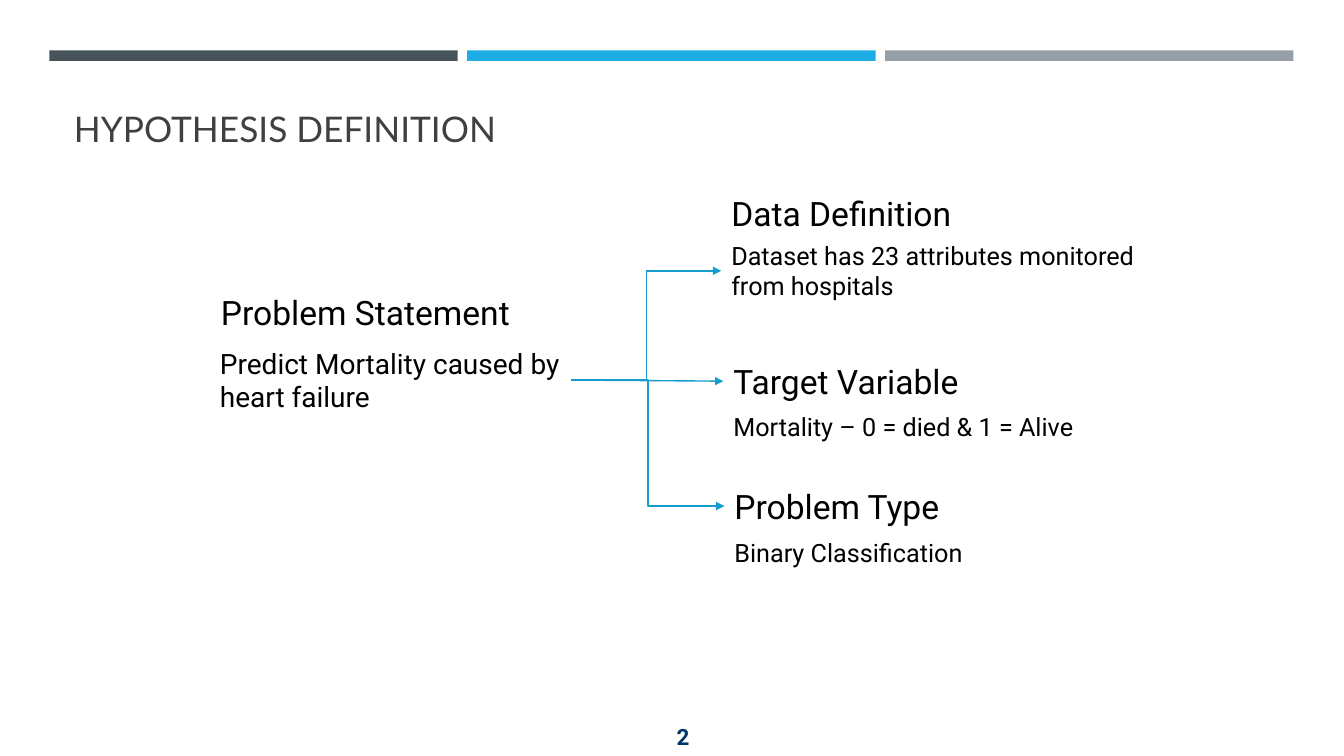
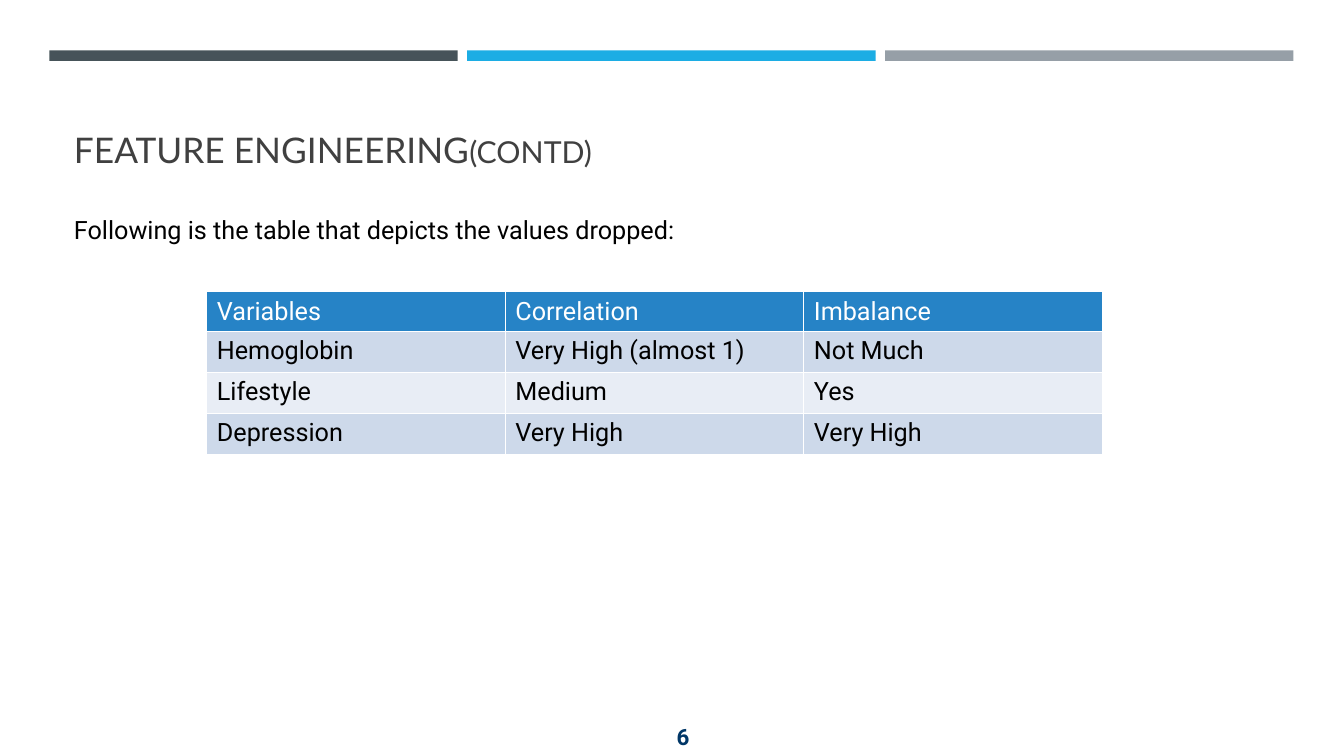
"""Builds the hypothesis and feature engineering slides of a heart failure study."""

from lxml.etree import SubElement
from pptx import Presentation
from pptx.dml.color import RGBColor
from pptx.enum.shapes import MSO_CONNECTOR, MSO_SHAPE
from pptx.enum.text import MSO_ANCHOR, MSO_AUTO_SIZE, PP_ALIGN
from pptx.oxml.ns import qn
from pptx.util import Pt

EMU_PER_PX = 9525
RIGHT_SITE, LEFT_SITE = 3, 1


def px(*lengths):
    return [length * EMU_PER_PX for length in lengths]


def rgb(hex_color):
    return RGBColor.from_string(hex_color)


def write(paragraph, text, *, size=18, color="000000", font="Roboto", bold=False, align=PP_ALIGN.LEFT):
    paragraph.alignment = align
    run = paragraph.add_run()
    run.text = text
    run.font.size = Pt(size)
    run.font.name = font
    run.font.bold = bold
    run.font.color.rgb = rgb(color)


class Deck:
    BANDS = ("465359", "1CADE4", "969FA7")
    TITLE = {"font": "Lato", "color": "404040"}
    PAGE_NUMBER = {"size": 16, "color": "003767", "bold": True, "align": PP_ALIGN.CENTER}
    ARROW = "189CCE"
    TABLE_HEADER = "2683C6"
    TABLE_ROWS = ("CDD9EA", "E8EDF5")
    TABLE_BORDER = "FFFFFF"

    def __init__(self):
        self.presentation = Presentation()
        self.presentation.slide_width, self.presentation.slide_height = px(1280, 720)
        self.slide = None

    def start_slide(self, title, page, *, title_top, title_suffix=""):
        self.slide = self.presentation.slides.add_slide(self.presentation.slide_layouts[6])
        for column, color in enumerate(self.BANDS):
            self.band(47 + 398 * column, color)
        heading = self.box(61, title_top, 1158, 52, title, anchor=MSO_ANCHOR.BOTTOM, size=25.2, **self.TITLE)
        if title_suffix:
            write(heading.text_frame.paragraphs[0], title_suffix, size=21.6, **self.TITLE)
        self.box(501, 682, 299, 38, str(page), anchor=MSO_ANCHOR.MIDDLE, **self.PAGE_NUMBER)

    def band(self, left, color):
        band = self.slide.shapes.add_shape(MSO_SHAPE.RECTANGLE, *px(left, 48, 389, 10))
        band.shadow.inherit = False
        band.fill.solid()
        band.fill.fore_color.rgb = rgb(color)
        band.line.fill.background()

    def box(self, left, top, width, height, text, *, anchor=MSO_ANCHOR.TOP, **text_format):
        box = self.slide.shapes.add_textbox(*px(left, top, width, height))
        frame = box.text_frame
        frame.word_wrap = True
        frame.auto_size = MSO_AUTO_SIZE.NONE
        frame.vertical_anchor = anchor
        for index, line in enumerate(text.split("\n")):
            paragraph = frame.add_paragraph() if index else frame.paragraphs[0]
            write(paragraph, line, **text_format)
        return box

    def arrow(self, source, target, *, route=MSO_CONNECTOR.ELBOW):
        arrow = self.slide.shapes.add_connector(route, 0, 0, 0, 0)
        arrow.begin_connect(source, RIGHT_SITE)
        arrow.end_connect(target, LEFT_SITE)
        arrow.line.color.rgb = rgb(self.ARROW)
        arrow.line.width = Pt(1)
        properties = arrow._element.spPr
        SubElement(properties.find(qn("a:ln")), qn("a:tailEnd"), type="triangle")
        SubElement(properties, qn("a:effectLst"))

    def table(self, left, top, width, rows, *, header_height, row_height):
        height = header_height + row_height * (len(rows) - 1)
        frame = self.slide.shapes.add_table(len(rows), len(rows[0]), *px(left, top, width, height))
        table = frame.table
        table.horz_banding = False
        for index, row in enumerate(rows):
            is_header = index == 0
            table.rows[index].height, = px(header_height if is_header else row_height)
            fill = self.TABLE_HEADER if is_header else self.TABLE_ROWS[(index - 1) % 2]
            for cell, text in zip(table.rows[index].cells, row):
                self.border(cell)
                cell.fill.solid()
                cell.fill.fore_color.rgb = rgb(fill)
                write(cell.text_frame.paragraphs[0], text, color="FFFFFF" if is_header else "000000")

    def border(self, cell):
        properties = cell._tc.get_or_add_tcPr()
        for side in ("a:lnL", "a:lnR", "a:lnT", "a:lnB"):
            edge = SubElement(properties, qn(side), w=str(Pt(1)))
            fill = SubElement(edge, qn("a:solidFill"))
            SubElement(fill, qn("a:srgbClr"), val=self.TABLE_BORDER)


def add_hypothesis(deck):
    deck.start_slide("HYPOTHESIS DEFINITION", 2, title_top=95)
    statement = deck.box(200, 325, 344, 74, "Predict Mortality caused by heart failure", size=20)
    deck.box(201, 273, 320, 48, "Problem Statement", size=24)

    data_heading, target_heading, type_heading = (
        deck.box(left, top, 320, 48, heading, size=24)
        for left, top, heading in (
            (687, 179, "Data Definition"),
            (689, 339, "Target Variable"),
            (690, 458, "Problem Type"),
        )
    )
    data_detail = deck.box(687, 224, 416, 68, "Dataset has 23 attributes monitored\nfrom hospitals")
    deck.box(689, 387, 416, 39, "Mortality – 0 = died & 1 = Alive")
    deck.box(690, 507, 416, 39, "Binary Classification")

    deck.arrow(statement, data_detail)
    deck.arrow(statement, target_heading, route=MSO_CONNECTOR.STRAIGHT)
    deck.arrow(statement, type_heading)


def add_dropped_variables(deck):
    deck.start_slide("FEATURE ENGINEERING", 6, title_top=115, title_suffix="(CONTD)")
    deck.box(61, 199, 776, 39, "Following is the table that depicts the values dropped:")
    variables = (
        ("Variables", "Correlation", "Imbalance"),
        ("Hemoglobin", "Very High (almost 1)", "Not Much"),
        ("Lifestyle", "Medium", "Yes"),
        ("Depression", "Very High", "Very High"),
    )
    deck.table(197, 278, 853, variables, header_height=36, row_height=39)


def main():
    deck = Deck()
    add_hypothesis(deck)
    add_dropped_variables(deck)
    deck.presentation.save("out.pptx")


if __name__ == "__main__":
    main()
